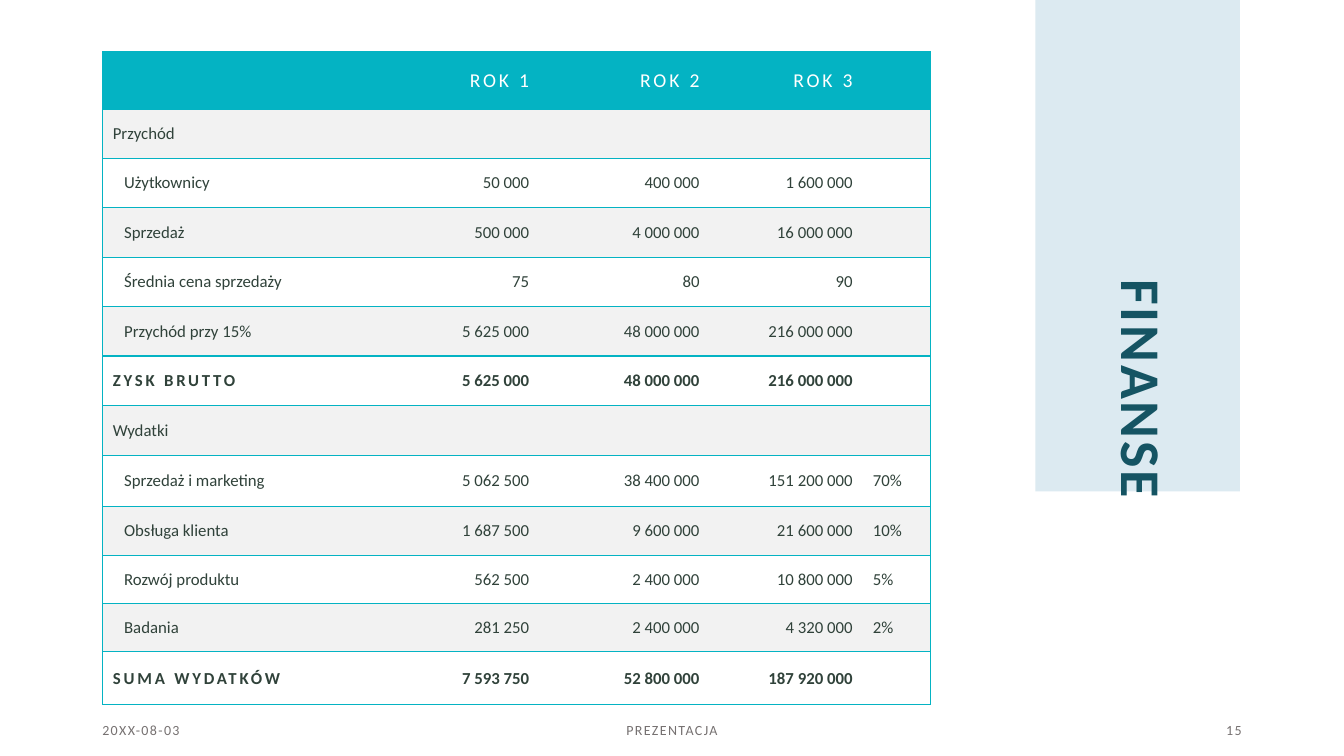
from dataclasses import dataclass

from lxml import etree
from pptx import Presentation
from pptx.dml.color import RGBColor
from pptx.enum.shapes import MSO_SHAPE
from pptx.enum.text import MSO_ANCHOR, MSO_AUTO_SIZE, PP_ALIGN
from pptx.oxml.ns import qn
from pptx.util import Pt

LEFT, MID, RIGHT = PP_ALIGN.LEFT, PP_ALIGN.CENTER, PP_ALIGN.RIGHT
MIDDLE = MSO_ANCHOR.MIDDLE
NBSP = chr(160)

# Content: each row is (kind, label, yearly values, share)
TITLE = "FINANSE"
YEARS = ["ROK 1", "ROK 2", "ROK 3"]
ROWS = [
    ("group", "Przychód", [], ""),
    ("item", "Użytkownicy", [50000, 400000, 1600000], ""),
    ("item", "Sprzedaż", [500000, 4000000, 16000000], ""),
    ("item", "Średnia cena sprzedaży", [75, 80, 90], ""),
    ("item", "Przychód przy 15%", [5625000, 48000000, 216000000], ""),
    ("total", "ZYSK BRUTTO", [5625000, 48000000, 216000000], ""),
    ("group", "Wydatki", [], ""),
    ("item", "Sprzedaż i marketing", [5062500, 38400000, 151200000], "70%"),
    ("item", "Obsługa klienta", [1687500, 9600000, 21600000], "10%"),
    ("item", "Rozwój produktu", [562500, 2400000, 10800000], "5%"),
    ("item", "Badania", [281250, 2400000, 4320000], "2%"),
    ("total", "SUMA WYDATKÓW", [7593750, 52800000, 187920000], ""),
]
# Footer: text, left, width, alignment
FOOTER = [
    ("20XX-08-03", 66, 216, LEFT),
    ("PREZENTACJA", 318, 324, MID),
    ("15", 678, 216, RIGHT),
]

# Sizes in points
WIDTHS = [190.8, 121, 121.7, 109.4, 48.2]
HEIGHTS = [41] + [35.3] * 6 + [36, 36, 35.3, 34, 34.6, 38]
INDENT = 15.3


@dataclass(frozen=True)
class Theme:
    font: str = "Calibri"
    teal: str = "04B3C3"
    deep: str = "155463"
    pale: str = "DCEAF1"
    band: str = "F2F2F2"
    white: str = "FFFFFF"
    ink: str = "30423A"
    gray: str = "767171"
    big: int = 40
    head: int = 14
    body: int = 12
    small: int = 10


theme = Theme()


def write(frame, text, size, color, align=LEFT, bold=False, gap=0):
    frame.text = text
    para = frame.paragraphs[0]
    para.alignment = align
    for run in para.runs:
        font = run.font
        font.name, font.size, font.bold = theme.font, Pt(size), bold
        font.color.rgb = RGBColor.from_string(color)
        run._r.get_or_add_rPr().set("spc", str(gap * 100))


def edge(cell, side, color):
    props = cell._tc.get_or_add_tcPr()
    line = etree.SubElement(props, qn("a:ln" + side), w=str(Pt(1)))
    if color:
        fill = etree.SubElement(line, qn("a:solidFill"))
        etree.SubElement(fill, qn("a:srgbClr"), val=color)
    else:
        etree.SubElement(line, qn("a:noFill"))


def cells(kind, label, values, share):
    """Texts of one table row, padded to all columns."""
    nums = [f"{v:,}".replace(",", NBSP) for v in values]
    return [label] + (nums or [""] * len(YEARS)) + [share]


deck = Presentation()
deck.slide_width, deck.slide_height = Pt(960), Pt(540)
slide = deck.slides.add_slide(deck.slide_layouts[5])
shapes = slide.shapes

# Side panel, placed behind the title
panel = shapes.add_shape(MSO_SHAPE.RECTANGLE, Pt(739.5), Pt(0), Pt(146.2), Pt(351))
panel.shadow.inherit = False
panel.fill.solid()
panel.fill.fore_color.rgb = RGBColor.from_string(theme.pale)
panel.line.fill.background()
shapes._spTree.insert(2, panel._element)

# Turned title
title = shapes.title
title.left, title.top, title.width, title.height = Pt(656), Pt(309.6), Pt(313.2), Pt(78.5)
title.rotation = 90
frame = title.text_frame
write(frame, TITLE, theme.big, theme.deep, bold=True, gap=2)
frame.word_wrap = True
frame.auto_size = MSO_AUTO_SIZE.NONE
frame.vertical_anchor = MIDDLE
frame.paragraphs[0].line_spacing = 0.8

# Finance table
grid = [("head", [""] + YEARS + [""])] + [(row[0], cells(*row)) for row in ROWS]
table = shapes.add_table(len(grid), len(WIDTHS), Pt(73.4), Pt(36.9),
                         Pt(sum(WIDTHS)), Pt(sum(HEIGHTS))).table
table.first_row = table.horz_banding = False
for col, width in zip(table.columns, WIDTHS):
    col.width = Pt(width)
for row, height in zip(table.rows, HEIGHTS):
    row.height = Pt(height)

last = len(WIDTHS) - 1
for r, (kind, texts) in enumerate(grid):
    head, total = kind == "head", kind == "total"
    fill = theme.teal if head else theme.band if r % 2 else theme.white
    size = theme.head if head else theme.body
    color = theme.white if head else theme.ink
    for c, text in enumerate(texts):
        cell = table.cell(r, c)
        cell.vertical_anchor = MIDDLE
        edge(cell, "L", theme.teal if c == 0 else None)
        edge(cell, "R", theme.teal if c == last else None)
        edge(cell, "T", theme.teal)
        edge(cell, "B", theme.teal)
        cell.fill.solid()
        cell.fill.fore_color.rgb = RGBColor.from_string(fill)
        if kind == "item" and c == 0:
            cell.margin_left = Pt(INDENT)
        if text:
            wide = head or (total and c == 0)
            write(cell.text_frame, text, size, color,
                  RIGHT if 0 < c < last else LEFT, total, 2 if wide else 0)

# Footer
for text, left, width, align in FOOTER:
    frame = shapes.add_textbox(Pt(left), Pt(513.4), Pt(width), Pt(15.8)).text_frame
    frame.word_wrap = True
    frame.vertical_anchor = MIDDLE
    write(frame, text, theme.small, theme.gray, align, gap=1)

deck.save("out.pptx")
